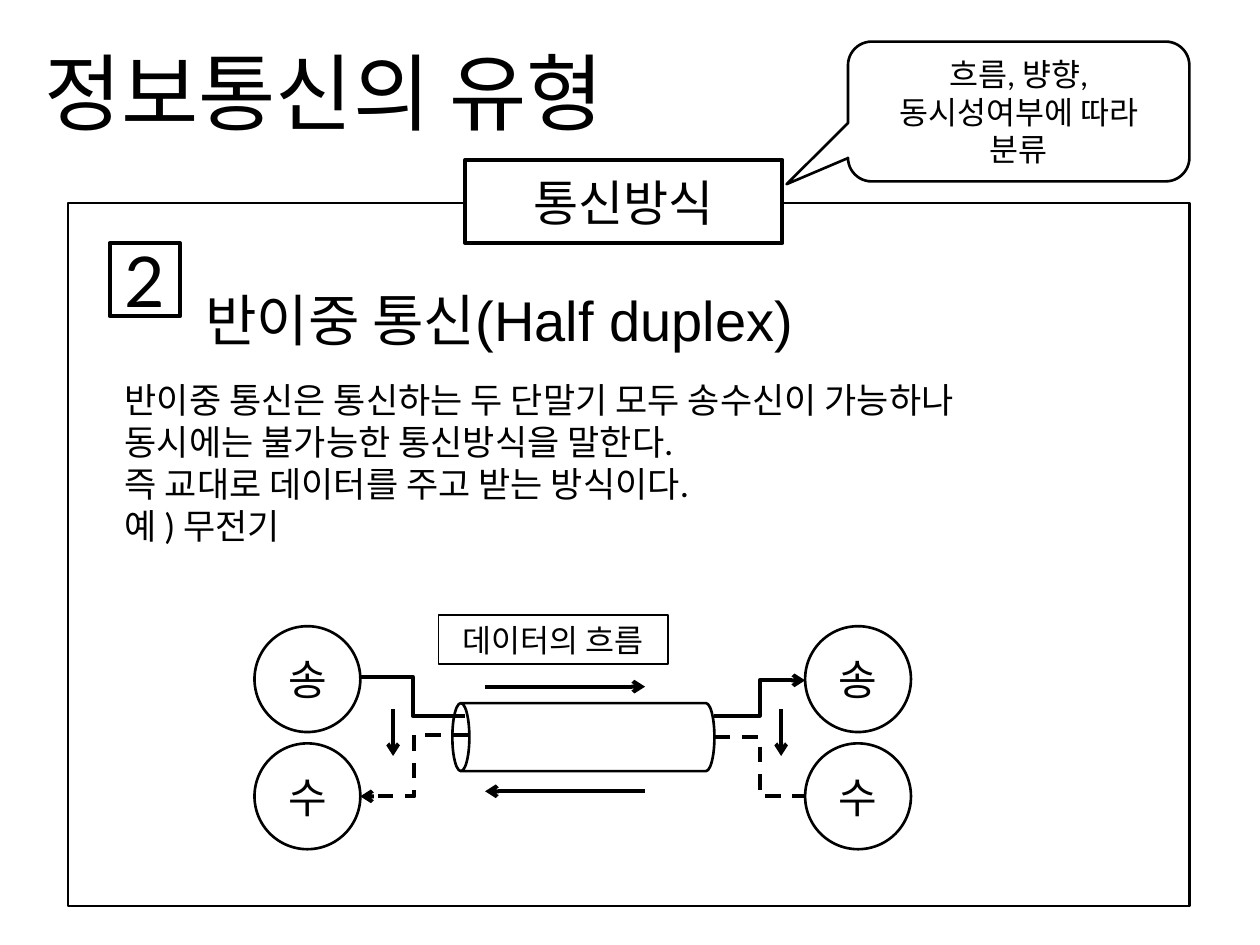
from pptx import Presentation
from pptx.dml.color import RGBColor
from pptx.enum import dml, shapes, text
from pptx.oxml.ns import qn
from pptx.util import Inches, Pt
from lxml import etree

INK, PAPER = "000000", "FFFFFF"
SHAPE, LINK = shapes.MSO_SHAPE, shapes.MSO_CONNECTOR
CENTER, LEFT = text.PP_ALIGN.CENTER, text.PP_ALIGN.LEFT
MIDDLE, TOP = text.MSO_ANCHOR.MIDDLE, text.MSO_ANCHOR.TOP


def color(value):
    return RGBColor.from_string(value)


def place(item, box):
    item.left, item.top, item.width, item.height = (Inches(v) for v in box)


def write(item, lines, size, font="Lato", align=LEFT, anchor=TOP):
    frame = item.text_frame
    frame.word_wrap = True
    frame.auto_size = text.MSO_AUTO_SIZE.NONE
    frame.vertical_anchor = anchor
    paragraph = frame.paragraphs[0]
    paragraph.alignment = align
    paragraph.space_before = Pt(0)
    for i, line in enumerate(lines):
        if i:
            paragraph.add_line_break()
        run = paragraph.add_run()
        run.text = line
        run.font.name, run.font.size = font, Pt(size)
        run.font.color.rgb = color(INK)


def add_box(slide, kind, box, line=1.5, label=None, size=18):
    shape = slide.shapes.add_shape(kind, *(Inches(v) for v in box))
    shape.shadow.inherit = False
    shape.fill.solid()
    shape.fill.fore_color.rgb = color(PAPER)
    shape.line.color.rgb = color(INK)
    shape.line.width = Pt(line)
    if label:
        write(shape, [label], size, align=CENTER, anchor=MIDDLE)
    return shape


def add_line(slide, start, end, kind=LINK.STRAIGHT, dashed=False, arrow=True):
    link = slide.shapes.add_connector(kind, *(Inches(v) for v in (*start, *end)))
    link.line.color.rgb = color(INK)
    link.line.width = Pt(2.25)
    if dashed:
        link.line.dash_style = dml.MSO_LINE.DASH
    if arrow:
        tail = etree.SubElement(link.line._get_or_add_ln(), qn("a:tailEnd"))
        tail.set("type", "arrow")
    etree.SubElement(link._element.spPr, qn("a:effectLst"))


def header(slide, box):
    x, y, w, h = box
    # Slide title
    place(slide.shapes.title, (x, y, 5.56, 0.91))
    write(slide.shapes.title, ["정보통신의 유형"], 48)


def panel(slide, box):
    x, y, w, h = box
    add_box(slide, SHAPE.RECTANGLE, box)
    # Tab on the top edge and its callout
    add_box(slide, SHAPE.RECTANGLE, (x + 3.15, y - 0.34, 2.52, 0.66), 2.25, "통신방식", 28)
    callout = add_box(slide, SHAPE.ROUNDED_RECTANGULAR_CALLOUT,
                      (x + w - 2.71, y - 1.28, 2.71, 1.11),
                      label="흐름, 뱡향, 동시성여부에 따라 분류")
    for i, value in enumerate((-0.68, 0.52, 0.17)):
        callout.adjustments[i] = value
    # Number and heading
    add_box(slide, SHAPE.RECTANGLE, (x + 0.33, y + 0.32, 0.56, 0.58), 2.25, "2", 40)
    heading = slide.shapes.add_textbox(
        *(Inches(v) for v in (x + 0.99, y + 0.61, 6.43, 0.64)))
    write(heading, ["반이중 통신(Half duplex)"], 32, font="Arial")
    # Explanation, brought in front of the panel
    explanation = slide.placeholders[1]
    place(explanation, (x + 0.35, y + 1.34, 7.28, 1.45))
    write(explanation, [
        "반이중 통신은 통신하는 두 단말기 모두 송수신이 가능하나",
        "동시에는 불가능한 통신방식을 말한다.",
        "즉 교대로 데이터를 주고 받는 방식이다.",
        "예 ) 무전기",
    ], 20)
    props = explanation.text_frame.paragraphs[0]._p.get_or_add_pPr()
    props.set("marL", "0")
    props.set("indent", "0")
    etree.SubElement(props, qn("a:buNone"))
    slide.shapes._spTree.append(explanation._element)


def diagram(slide, box):
    x, y, w, h = box
    d = 0.84
    left, right = x + d, x + w - d
    send, receive = y + 0.43, y + h - d / 2
    # Terminals: sender above receiver on both sides
    for terminal_x in (x, right):
        for terminal_y, label in ((y, "송"), (y + h - d, "수")):
            add_box(slide, SHAPE.OVAL, (terminal_x, terminal_y, d, d), label=label, size=24)
    # Channel: a can lying on its side
    channel = add_box(slide, SHAPE.CAN, (x + 2.34, y - 0.16, 0.54, 2.08))
    channel.rotation = 270
    # Links between terminals and channel
    channel_right = x + 3.65
    for start, end, dashed, arrow in (
        ((left, send - 0.03), (x + 1.67, y + 0.71), False, False),
        ((channel_right, y + 0.88), (right, receive), True, False),
        ((channel_right, y + 0.71), (right, send), False, True),
        ((x + 1.7, y + 0.86), (left, receive), True, True),
    ):
        add_line(slide, start, end, LINK.ELBOW, dashed, arrow)
    # Flow label and direction arrows
    add_box(slide, SHAPE.RECTANGLE, (x + 1.46, y - 0.09, 1.82, 0.39), 1, "데이터의 흐름")
    flow_start, flow_end = x + 1.83, x + 3.1
    add_line(slide, (flow_start, y + 0.48), (flow_end, y + 0.48))
    add_line(slide, (flow_end, y + 1.31), (flow_start, y + 1.31))
    for switch_x in (x + 1.1, x + 4.18):
        add_line(slide, (switch_x, y + 0.66), (switch_x, y + 1.03))


def main():
    deck = Presentation()
    deck.slide_width, deck.slide_height = Inches(10), Inches(7.5)
    slide = deck.slides.add_slide(deck.slide_layouts[1])
    header(slide, (0.25, 0.27, 5.56, 0.91))
    panel(slide, (0.54, 1.61, 8.9, 5.58))
    diagram(slide, (2.02, 4.97, 5.21, 1.77))
    deck.save("out.pptx")


if __name__ == "__main__":
    main()
